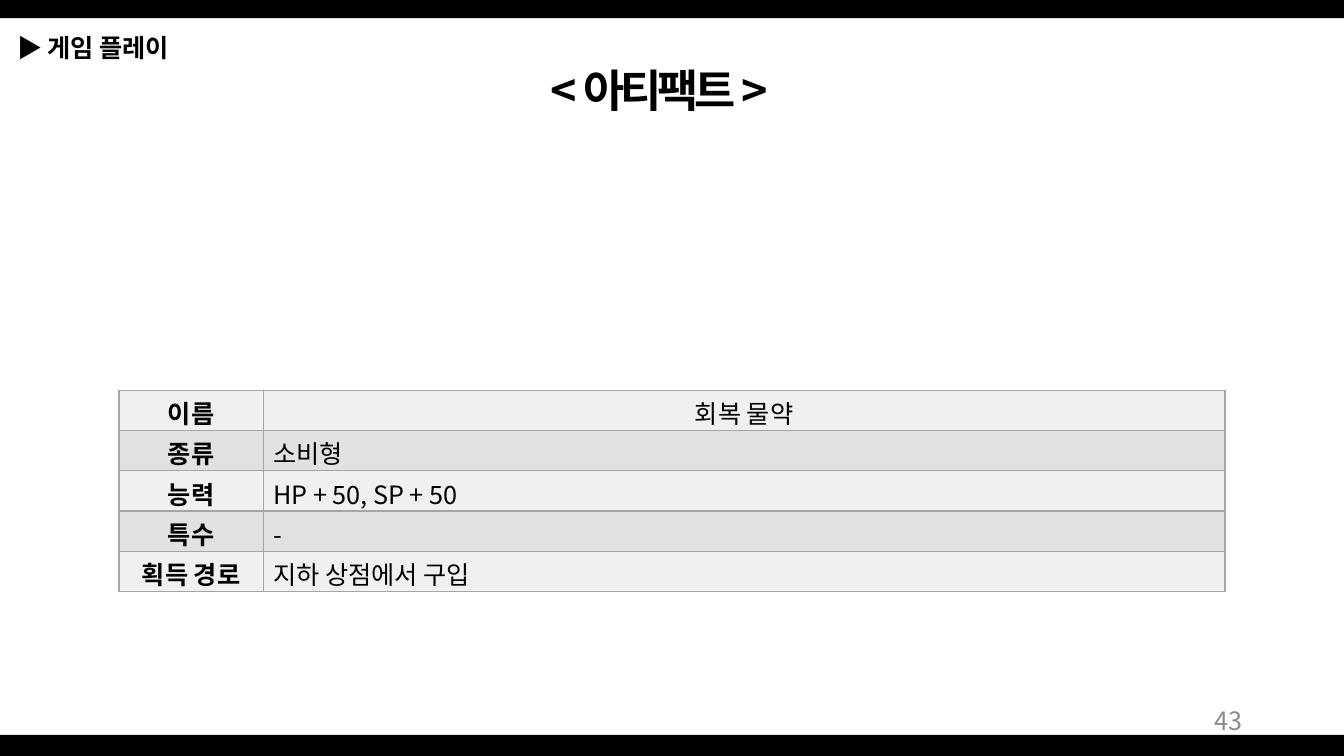
from lxml import etree
from pptx import Presentation
from pptx.dml.color import RGBColor
from pptx.enum import shapes, text
from pptx.oxml.ns import qn
from pptx.util import Inches, Pt

FONT = "Noto Sans CJK KR"
BLACK = RGBColor(0x00, 0x00, 0x00)
PAGE_GRAY = RGBColor(0x8C, 0x8C, 0x8C)
BORDER_GRAY = RGBColor(0xA5, 0xA5, 0xA5)
ROW_FILLS = (RGBColor(0xF0, 0xF0, 0xF0), RGBColor(0xE1, 0xE1, 0xE1))
SLIDE_WIDTH, SLIDE_HEIGHT = 13.33, 7.5
LEFT, CENTER, RIGHT = text.PP_ALIGN.LEFT, text.PP_ALIGN.CENTER, text.PP_ALIGN.RIGHT

ARTIFACT = (
    ("이름", "회복 물약", CENTER),
    ("종류", "소비형", LEFT),
    ("능력", "HP + 50, SP + 50", LEFT),
    ("특수", "-", LEFT),
    ("획득 경로", "지하 상점에서 구입", LEFT),
)


def add_run(paragraph, words, size=18, bold=False, color=BLACK, spacing=0):
    """Append a run; spacing is the letter spacing in points."""
    run = paragraph.add_run()
    run.text = words
    run.font.size = Pt(size)
    run.font.bold = bold
    run.font.name = FONT
    run.font.color.rgb = color
    properties = run.font._element
    properties.set("spc", str(spacing * 100))
    etree.SubElement(properties, qn("a:ea")).set("typeface", FONT)


def add_bar(slide, box):
    bar = slide.shapes.add_shape(shapes.MSO_SHAPE.RECTANGLE, *map(Inches, box))
    bar.shadow.inherit = False
    bar.fill.solid()
    bar.fill.fore_color.rgb = BLACK
    bar.line.fill.background()


def place_title(slide, box):
    title = slide.shapes.title
    title.left, title.top, title.width, title.height = map(Inches, box)
    frame = title.text_frame
    frame.auto_size = text.MSO_AUTO_SIZE.NONE
    frame.word_wrap = False
    frame.vertical_anchor = text.MSO_ANCHOR.TOP
    heading = frame.paragraphs[0]
    heading.alignment = CENTER
    add_run(heading, "< 아티팩트 >", size=32, bold=True, spacing=-3)


def add_section_label(slide, box):
    label = slide.shapes.add_textbox(*map(Inches, box)).text_frame
    label.word_wrap = True
    add_run(label.paragraphs[0], "▶   ", spacing=-3)
    add_run(label.paragraphs[0], "게임 플레이", bold=True)


def add_page_number(slide, box):
    page = slide.shapes.add_textbox(*map(Inches, box)).text_frame
    page.word_wrap = True
    page.vertical_anchor = text.MSO_ANCHOR.MIDDLE
    page.paragraphs[0].alignment = RIGHT
    add_run(page.paragraphs[0], "43", color=PAGE_GRAY)


def add_borders(cell):
    properties = cell._tc.get_or_add_tcPr()
    for side in ("a:lnL", "a:lnR", "a:lnT", "a:lnB"):
        line = etree.SubElement(properties, qn(side), w=str(Pt(1)))
        fill = etree.SubElement(line, qn("a:solidFill"))
        etree.SubElement(fill, qn("a:srgbClr"), val=str(BORDER_GRAY))


def fill_cell(cell, words, alignment, bold, color):
    add_borders(cell)
    cell.fill.solid()
    cell.fill.fore_color.rgb = color
    cell.vertical_anchor = text.MSO_ANCHOR.MIDDLE
    cell.margin_top, cell.margin_bottom = Inches(0.04), 0
    paragraph = cell.text_frame.paragraphs[0]
    paragraph.alignment = alignment
    add_run(paragraph, words, bold=bold)


def add_artifact_table(slide, box, label_width=1.43):
    left, top, width, height = box
    table = slide.shapes.add_table(len(ARTIFACT), 2, *map(Inches, box)).table
    table.first_row = table.horz_banding = False
    table.columns[0].width = Inches(label_width)
    table.columns[1].width = Inches(width - label_width)
    for index, (label, value, alignment) in enumerate(ARTIFACT):
        table.rows[index].height = Inches(height / len(ARTIFACT))
        color = ROW_FILLS[index % 2]
        fill_cell(table.cell(index, 0), label, CENTER, True, color)
        fill_cell(table.cell(index, 1), value, alignment, False, color)


def build_artifact_slide(deck):
    slide = deck.slides.add_slide(deck.slide_layouts[5])
    add_bar(slide, (0, SLIDE_HEIGHT - 0.21, SLIDE_WIDTH, 0.21))
    add_bar(slide, (0, 0, SLIDE_WIDTH, 0.18))
    place_title(slide, (5.05, 0.57, 2.98, 0.64))
    add_page_number(slide, (9.42, 6.95, 3, 0.4))
    add_artifact_table(slide, (1.18, 3.87, 10.97, 2))
    add_section_label(slide, (0.08, 0.27, 4.13, 0.4))


def main():
    deck = Presentation()
    deck.slide_width, deck.slide_height = Inches(SLIDE_WIDTH), Inches(SLIDE_HEIGHT)
    build_artifact_slide(deck)
    deck.save("out.pptx")


if __name__ == "__main__":
    main()
